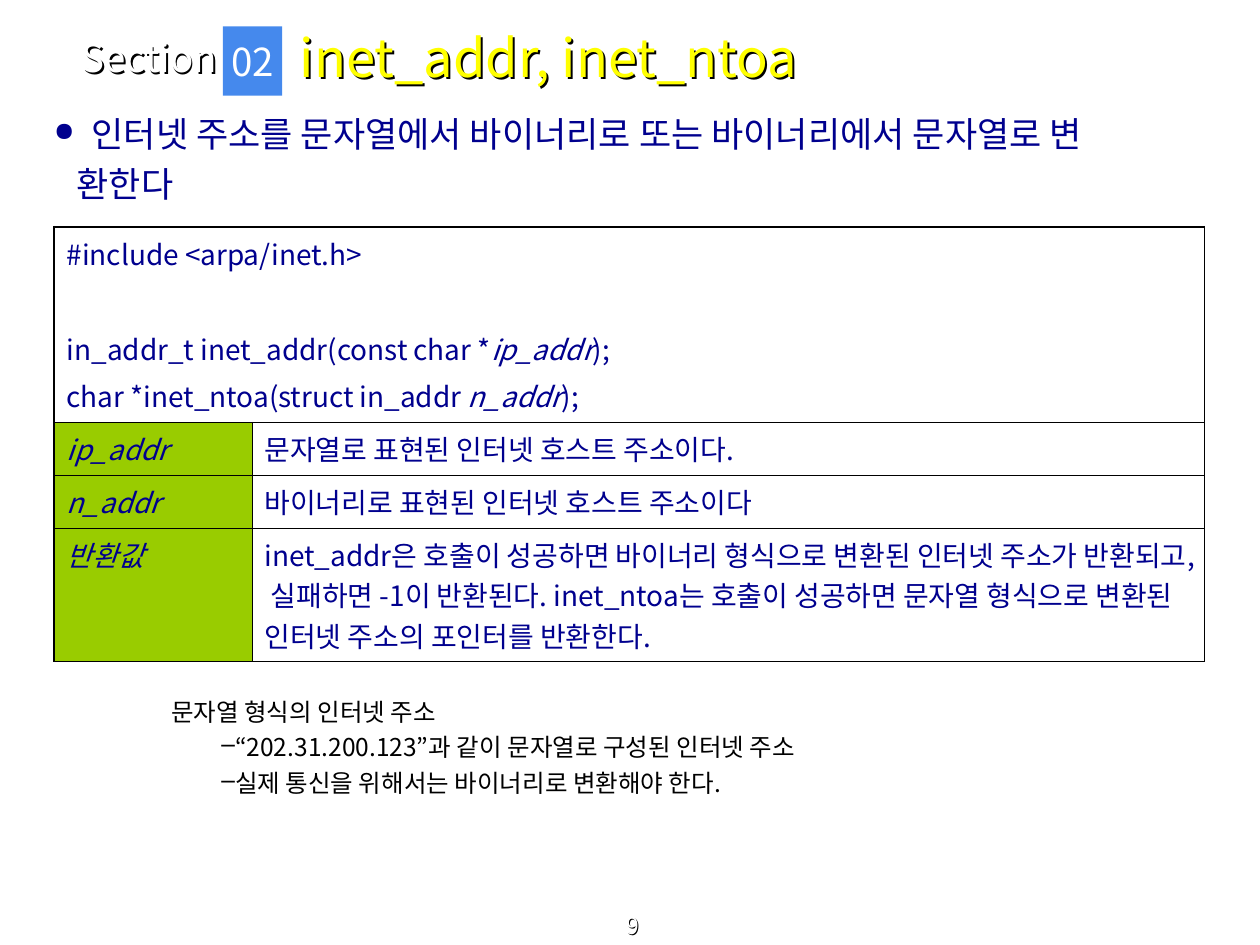
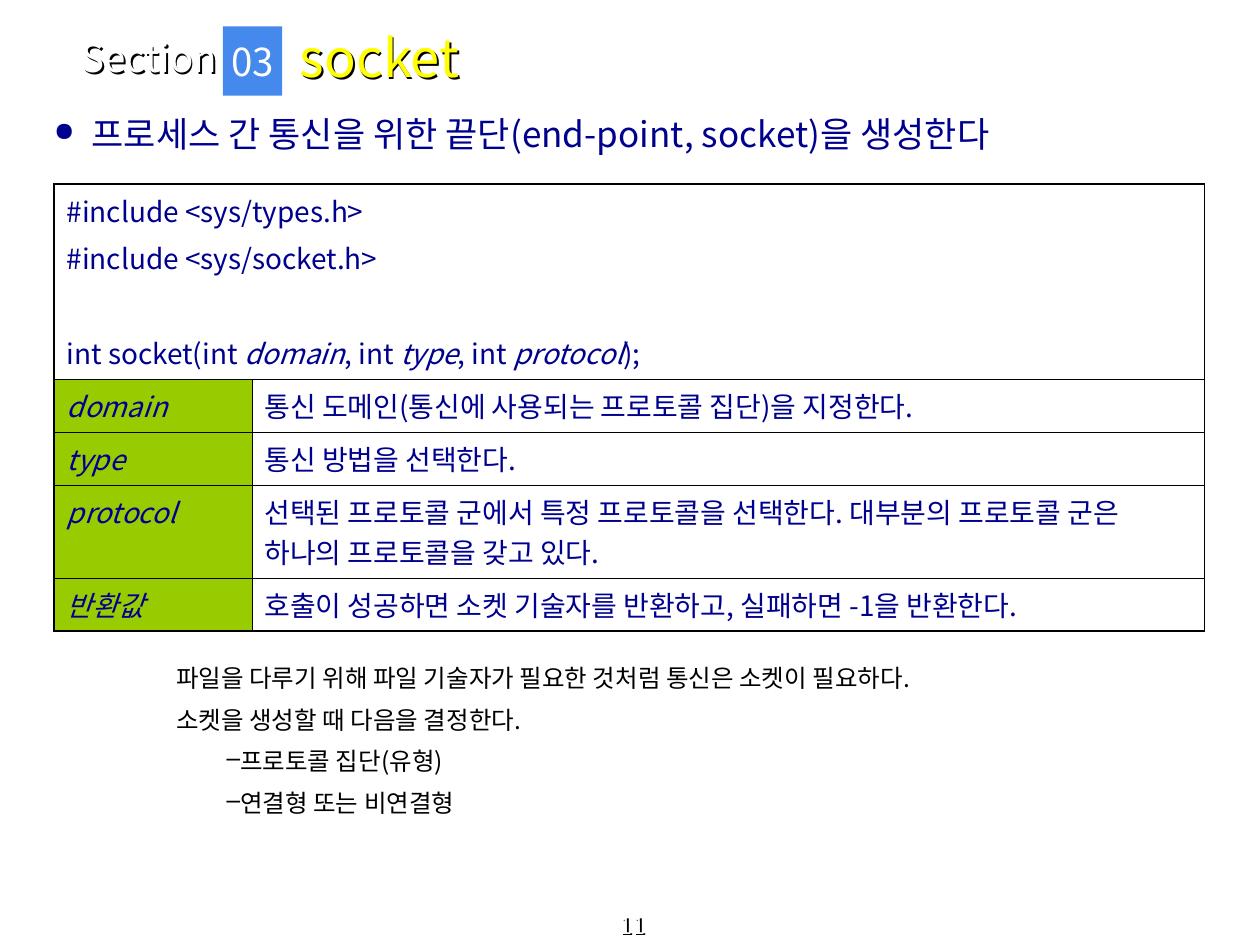
from lxml.etree import SubElement
from pptx import Presentation
from pptx.dml.color import RGBColor
from pptx.enum.shapes import MSO_SHAPE
from pptx.enum.text import MSO_ANCHOR, PP_ALIGN
from pptx.oxml import parse_xml
from pptx.oxml.ns import nsdecls, qn
from pptx.util import Inches, Pt

FONT = "Noto Sans CJK KR"
COLORS = {
    "white": "FFFFFF",
    "black": "000000",
    "yellow": "FFFF00",
    "navy": "00008E",
    "badge": "4589ED",
    "term": "99CC00",
}
SECTION_STYLE = {"size": 22, "color": "white"}
TITLE_STYLE = {"size": 30, "color": "yellow"}
NUMBER_STYLE = {"size": 13, "color": "white"}
SUMMARY_STYLE = {"size": 20, "color": "navy"}
TABLE_STYLE = {"size": 16, "color": "navy"}
NOTE_STYLE = {"size": 14, "color": "black"}

TABLE_COLUMNS = [1.57, 7.56]
CODE_HEIGHT = 1.55
LINE_GAP = 4
GROUP_GAP = 31.2  # one empty 16 pt line and its spacing
OUTER_BORDER, INNER_BORDER = 1.08, 0.45

SECTIONS = [
    {
        "page": "9",
        "number": "02",
        "title": "inet_addr, inet_ntoa",
        "summary": [
            "인터넷 주소를 문자열에서 바이너리로 또는 바이너리에서 문자열로 변",
            "환한다",
        ],
        "table_top": 1.8,
        "code": [
            ["#include <arpa/inet.h>"],
            [
                "in_addr_t inet_addr(const char *|ip_addr|);",
                "char *inet_ntoa(struct in_addr |n_addr|);",
            ],
        ],
        "terms": [
            ("ip_addr", "문자열로 표현된 인터넷 호스트 주소이다.", 0.42),
            ("n_addr", "바이너리로 표현된 인터넷 호스트 주소이다", 0.42),
            (
                "반환값",
                "inet_addr은 호출이 성공하면 바이너리 형식으로 변환된 인터넷 주소가 "
                "반환되고, 실패하면 -1이 반환된다. inet_ntoa는 호출이 성공하면 문자열 "
                "형식으로 변환된 인터넷 주소의 포인터를 반환한다.",
                1.06,
            ),
        ],
        "notes_box": (1.26, 5.48, 8.23, 1.18),
        "notes_spacing": 1.0,
        "notes": [
            (0, "문자열 형식의 인터넷 주소"),
            (1, "“202.31.200.123”과 같이 문자열로 구성된 인터넷 주소"),
            (1, "실제 통신을 위해서는 바이너리로 변환해야 한다."),
        ],
    },
    {
        "page": "11",
        "number": "03",
        "title": "socket",
        "summary": ["프로세스 간 통신을 위한 끝단(end-point, socket)을 생성한다"],
        "table_top": 1.46,
        "code": [
            ["#include <sys/types.h>", "#include <sys/socket.h>"],
            ["int socket(int |domain|, int |type|, int |protocol|);"],
        ],
        "terms": [
            ("domain", "통신 도메인(통신에 사용되는 프로토콜 집단)을 지정한다.", 0.42),
            ("type", "통신 방법을 선택한다.", 0.42),
            (
                "protocol",
                "선택된 프로토콜 군에서 특정 프로토콜을 선택한다. "
                "대부분의 프로토콜 군은 하나의 프로토콜을 갖고 있다.",
                0.74,
            ),
            ("반환값", "호출이 성공하면 소켓 기술자를 반환하고, 실패하면 -1을 반환한다.", 0.42),
        ],
        "notes_box": (1.3, 5.17, 8.19, 1.5),
        "notes_spacing": 1.2,
        "notes": [
            (0, "파일을 다루기 위해 파일 기술자가 필요한 것처럼 통신은 소켓이 필요하다."),
            (0, "소켓을 생성할 때 다음을 결정한다."),
            (1, "프로토콜 집단(유형)"),
            (1, "연결형 또는 비연결형"),
        ],
    },
]


def write(frame, text, style, first=True, bullet=None, bullet_size=100,
          margin=0, indent=0, **formats):
    """Add one paragraph; text between | marks is italic."""
    paragraph = frame.paragraphs[0] if first else frame.add_paragraph()
    properties = paragraph._p.get_or_add_pPr()
    properties.set("marL", str(Inches(margin)))
    properties.set("indent", str(Inches(indent)))
    if bullet:
        color = SubElement(properties, qn("a:buClr"))
        SubElement(color, qn("a:srgbClr")).set("val", COLORS[style["color"]])
        SubElement(properties, qn("a:buSzPct")).set("val", str(bullet_size * 1000))
        SubElement(properties, qn("a:buChar")).set("char", bullet)
    for name, value in formats.items():
        setattr(paragraph, name, value)
    for index, part in enumerate(text.split("|")):
        if not part:
            continue
        span = paragraph.add_run()
        span.text = part
        span.font.size = Pt(style["size"])
        span.font.name = FONT
        span.font.bold = False
        span.font.italic = index % 2 == 1
        span.font.color.rgb = RGBColor.from_string(COLORS[style["color"]])
        latin = span._r.rPr.find(qn("a:latin"))
        latin.addnext(parse_xml(f'<a:ea {nsdecls("a")} typeface="{FONT}"/>'))


def add_box(page, left, top, width, height, anchor=MSO_ANCHOR.TOP):
    box = page.shapes.add_textbox(Inches(left), Inches(top), Inches(width), Inches(height))
    box.text_frame.word_wrap = True
    box.text_frame.vertical_anchor = anchor
    return box


deck = Presentation()
deck.slide_width, deck.slide_height = Inches(10), Inches(7.5)

for section in SECTIONS:
    page = deck.slides.add_slide(deck.slide_layouts[5])

    # Heading and page number
    title = page.shapes.title
    title.left, title.top = Inches(2.28), Inches(0.11)
    title.width, title.height = Inches(6.49), Inches(0.68)
    title.text_frame.vertical_anchor = MSO_ANCHOR.MIDDLE
    write(title.text_frame, section["title"], TITLE_STYLE, alignment=PP_ALIGN.LEFT)

    label = add_box(page, 0.55, 0.27, 1.93, 0.37, MSO_ANCHOR.MIDDLE)
    write(label.text_frame, "Section", SECTION_STYLE)

    badge = page.shapes.add_shape(
        MSO_SHAPE.RECTANGLE, Inches(1.77), Inches(0.21), Inches(0.47), Inches(0.55)
    )
    badge.shadow.inherit = False
    badge.fill.solid()
    badge.fill.fore_color.rgb = RGBColor.from_string(COLORS["badge"])
    badge.line.fill.background()
    badge.text_frame.word_wrap = False
    badge.text_frame.vertical_anchor = MSO_ANCHOR.MIDDLE
    write(badge.text_frame, section["number"], SECTION_STYLE, alignment=PP_ALIGN.CENTER)

    footer = add_box(page, 0.02, 7.28, 10, 0.22, MSO_ANCHOR.BOTTOM)
    write(footer.text_frame, section["page"], NUMBER_STYLE, alignment=PP_ALIGN.CENTER)

    # An unfilled box passes its shadow on to its text
    for shadowed in (title, label, footer):
        shadowed.fill.background()
        shadowed.line.fill.background()
        shadowed._element.spPr.append(parse_xml(
            f'<a:effectLst {nsdecls("a")}>'
            '<a:outerShdw dist="17961" dir="2700000" algn="ctr" rotWithShape="0">'
            f'<a:srgbClr val="{COLORS["black"]}"/></a:outerShdw></a:effectLst>'
        ))

    # Summary
    summary = add_box(page, 0.33, 0.84, 9.33, 0.87)
    for index, line in enumerate(section["summary"]):
        layout = (
            {"margin": 0.18, "space_before": Pt(5)}
            if index
            else {"bullet": "●", "bullet_size": 75, "margin": 0.3, "indent": -0.3}
        )
        write(summary.text_frame, line, SUMMARY_STYLE, first=index == 0, **layout)

    # Function reference
    terms = section["terms"]
    heights = [CODE_HEIGHT] + [height for _, _, height in terms]
    frame = page.shapes.add_table(
        len(heights), 2, Inches(0.43), Inches(section["table_top"]),
        Inches(sum(TABLE_COLUMNS)), Inches(sum(heights)),
    )
    table = frame.table
    table.first_row = table.horz_banding = False
    for column, width in zip(table.columns, TABLE_COLUMNS):
        column.width = Inches(width)
    for row, height in zip(table.rows, heights):
        row.height = Inches(height)

    code_cell = table.cell(0, 0)
    code_cell.merge(table.cell(0, 1))
    for group_index, group in enumerate(section["code"]):
        for line_index, line in enumerate(group):
            first = group_index == line_index == 0
            gap = 0 if first else LINE_GAP if line_index else GROUP_GAP
            write(code_cell.text_frame, line, TABLE_STYLE, first, space_before=Pt(gap))
    for row, (term, meaning, _) in enumerate(terms, 1):
        write(table.cell(row, 0).text_frame, f"|{term}|", TABLE_STYLE)
        write(table.cell(row, 1).text_frame, meaning, TABLE_STYLE)

    for row in range(len(heights)):
        for column in range(2):
            cell = table.cell(row, column)
            cell.margin_left = cell.margin_right = Inches(0.1)
            cell.margin_top = cell.margin_bottom = Inches(0.05)
            if row and column == 0:
                cell.fill.solid()
                cell.fill.fore_color.rgb = RGBColor.from_string(COLORS["term"])
            else:
                cell.fill.background()
            outer_sides = {
                "L": column == 0,
                "R": column == 1 or row == 0,
                "T": row == 0,
                "B": row == len(terms),
            }
            for position, (side, outer) in enumerate(outer_sides.items()):
                weight = Pt(OUTER_BORDER if outer else INNER_BORDER)
                cell._tc.get_or_add_tcPr().insert(position, parse_xml(
                    f'<a:ln{side} {nsdecls("a")} w="{weight}"><a:solidFill>'
                    f'<a:srgbClr val="{COLORS["black"]}"/></a:solidFill></a:ln{side}>'
                ))

    # Notes under the table
    notes = add_box(page, *section["notes_box"])
    for index, (level, line) in enumerate(section["notes"]):
        layout = {"bullet": "–", "margin": 0.2, "indent": 0.2, "level": 1} if level else {}
        write(
            notes.text_frame, line, NOTE_STYLE, first=index == 0,
            line_spacing=section["notes_spacing"],
            space_before=Pt(3.5 if index else 0), **layout,
        )

deck.save("out.pptx")
